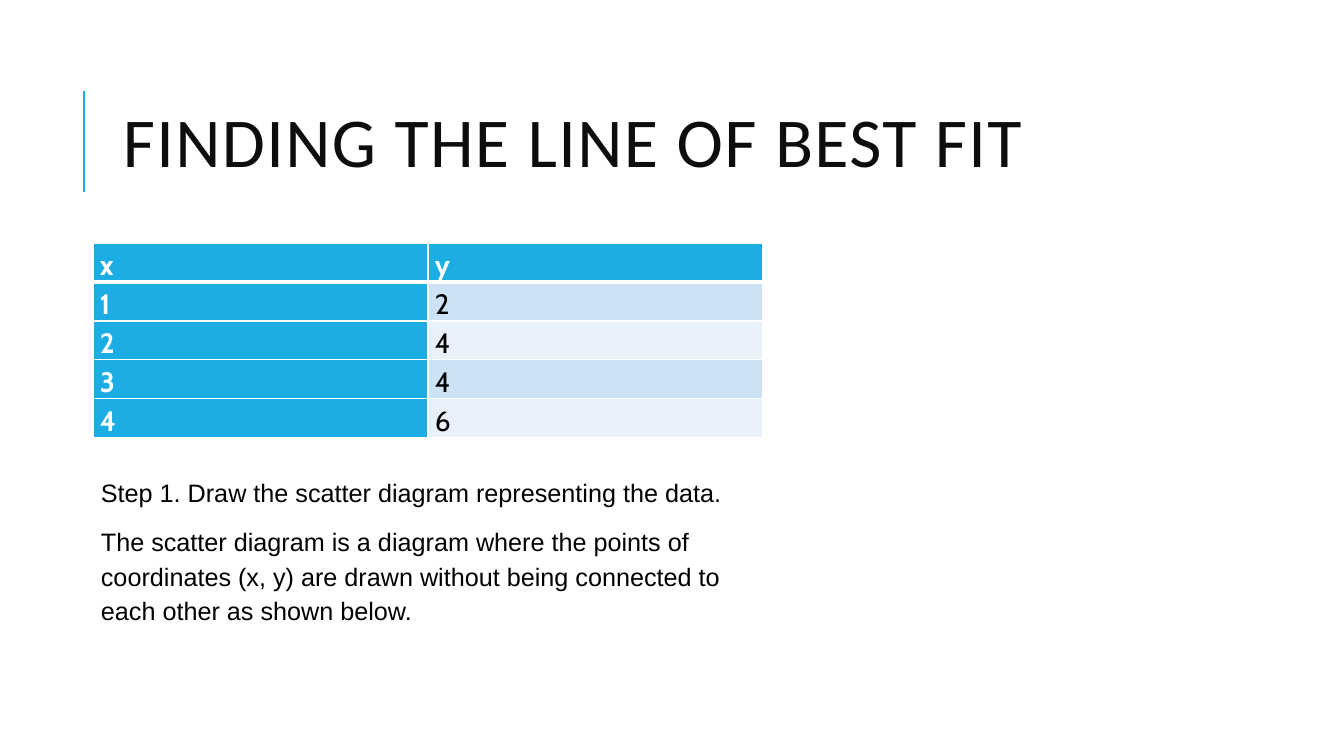
from lxml.etree import SubElement
from pptx import Presentation
from pptx.dml.color import RGBColor
from pptx.enum.shapes import MSO_CONNECTOR
from pptx.enum.text import MSO_ANCHOR
from pptx.oxml.ns import qn
from pptx.util import Pt

PX = 12192000 / 1344
BLUE = RGBColor(0x1C, 0xAD, 0xE4)
DARK_BAND = RGBColor(0xCD, 0xE3, 0xF5)
LIGHT_BAND = RGBColor(0xE8, 0xF1, 0xFA)
WHITE = RGBColor(0xFF, 0xFF, 0xFF)
BLACK = RGBColor(0, 0, 0)
TITLE_COLOR = RGBColor(0x0D, 0x0D, 0x0D)


def px(length):
    return round(length * PX)


def write(paragraph, text, font, size, color, bold=False, line_spacing=1.15, space_after=0, tracking=0):
    paragraph.line_spacing = line_spacing
    paragraph.space_after = Pt(space_after)
    run = paragraph.add_run()
    run.text = text
    run.font.name = font
    run.font.size = Pt(size)
    run.font.bold = bold
    run.font.color.rgb = color
    if tracking:
        run.font._element.set("spc", str(tracking * 100))


presentation = Presentation()
presentation.slide_width = px(1344)
presentation.slide_height = px(756)
slide = presentation.slides.add_slide(presentation.slide_layouts[6])

accent_line = slide.shapes.add_connector(MSO_CONNECTOR.STRAIGHT, px(84), px(192), px(84), px(91))
accent_line.line.color.rgb = BLUE
accent_line.line.width = Pt(1.5)
SubElement(accent_line._element.spPr, qn("a:effectLst"))

title_box = slide.shapes.add_textbox(px(113), px(65), px(1072), px(165))
title_frame = title_box.text_frame
title_frame.word_wrap = True
title_frame.vertical_anchor = MSO_ANCHOR.MIDDLE
write(title_frame.paragraphs[0], "FINDING THE LINE OF BEST FIT", font="Calibri", size=50,
      color=TITLE_COLOR, line_spacing=0.8, tracking=1)

values = [("x", "y"), ("1", "2"), ("2", "4"), ("3", "4"), ("4", "6")]
table = slide.shapes.add_table(len(values), 2, px(93), px(243), px(670), px(195)).table
for column in table.columns:
    column.width = px(335)
for row_index, row_values in enumerate(values):
    table.rows[row_index].height = px(39)
    for column_index, value in enumerate(row_values):
        cell = table.cell(row_index, column_index)
        cell.margin_left = cell.margin_right = px(7)
        cell.margin_top = cell.margin_bottom = 0
        is_header = row_index == 0 or column_index == 0
        write(cell.text_frame.paragraphs[0], value, font="Cabin", size=20,
              color=WHITE if is_header else BLACK, bold=is_header)
        borders = {"a:lnL": 1, "a:lnR": 1,
                   "a:lnT": 3 if row_index == 1 else 1,
                   "a:lnB": 3 if row_index == 0 else 1}
        cell_properties = cell._tc.get_or_add_tcPr()
        for tag, width in borders.items():
            border = SubElement(cell_properties, qn(tag), w=str(Pt(width)))
            border_fill = SubElement(border, qn("a:solidFill"))
            SubElement(border_fill, qn("a:srgbClr"), val=str(WHITE))
        cell.fill.solid()
        band = DARK_BAND if row_index % 2 else LIGHT_BAND
        cell.fill.fore_color.rgb = BLUE if is_header else band

steps = [
    "Step 1. Draw the scatter diagram representing the data.",
    "The scatter diagram is a diagram where the points of coordinates (x, y) are drawn "
    "without being connected to each other as shown below.",
]
steps_box = slide.shapes.add_textbox(px(91), px(468), px(672), px(164))
steps_frame = steps_box.text_frame
steps_frame.word_wrap = True
for index, step in enumerate(steps):
    paragraph = steps_frame.add_paragraph() if index else steps_frame.paragraphs[0]
    write(paragraph, step, font="Arial", size=18, color=BLACK, space_after=10)

presentation.save("out.pptx")
